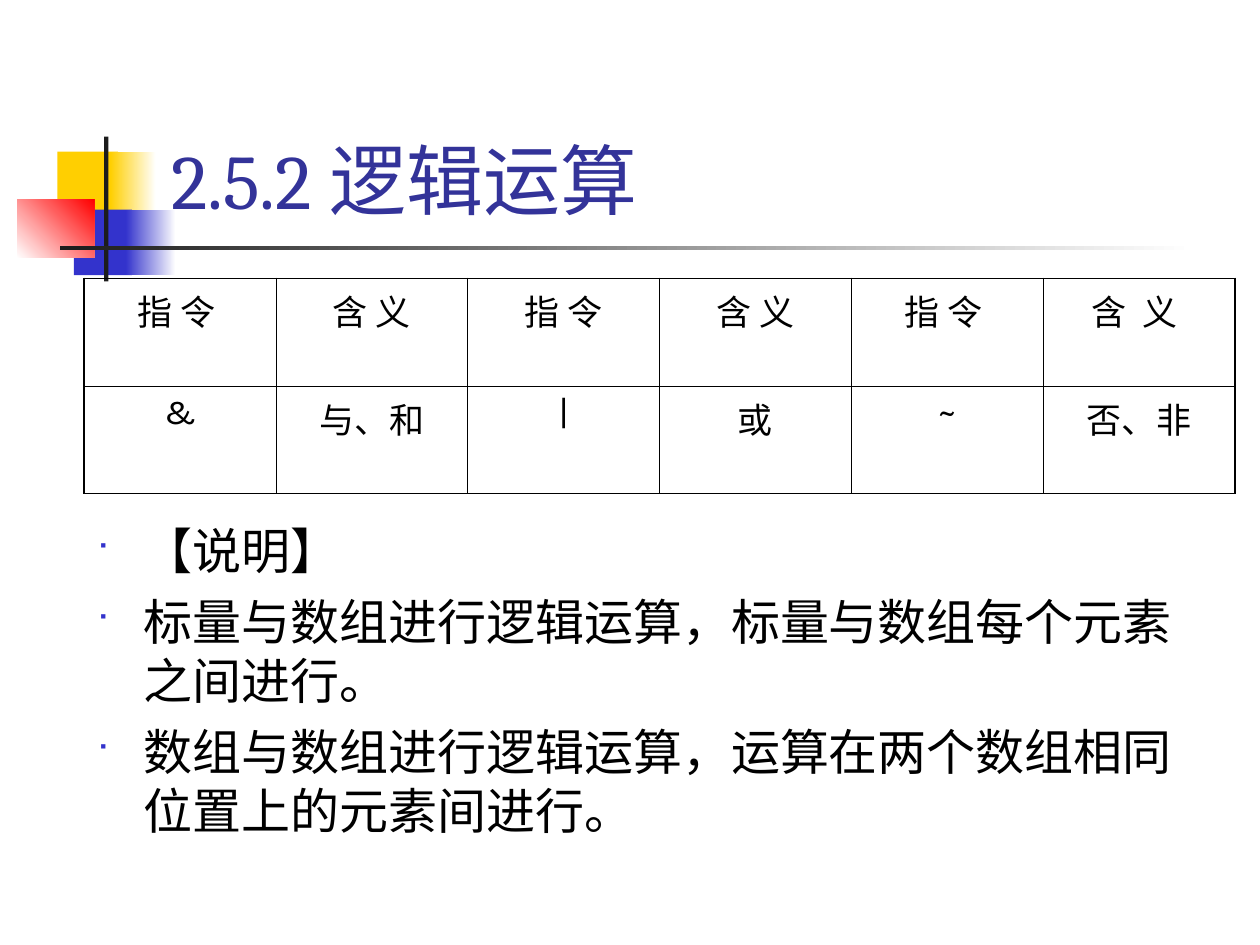
from dataclasses import dataclass

from lxml import etree
from pptx import Presentation
from pptx.dml.color import RGBColor
from pptx.enum.shapes import MSO_SHAPE
from pptx.enum.text import MSO_ANCHOR, PP_ALIGN
from pptx.oxml.ns import qn
from pptx.util import Pt


@dataclass(frozen=True)
class Theme:
    black: str = "000000"
    white: str = "FFFFFF"
    charcoal: str = "1C1C1C"
    yellow: str = "FFCF01"
    blue: str = "3333CC"
    red: str = "FF0000"
    title_blue: str = "333399"
    text_font: str = "Cambria"
    table_font: str = "Karla"
    title_size: int = 44
    body_size: int = 28
    table_size: int = 20
    outer_border: float = 1.08
    inner_border: float = 0.45


THEME = Theme()

HEADINGS = ["指 令 ", "含 义", "指 令", "含 义", "指 令 ", "含  义 "]
OPERATORS = ["&", "与、和", "|", "或", "~", "否、非"]
NOTES = [
    "【说明】",
    "标量与数组进行逻辑运算，标量与数组每个元素之间进行。",
    "数组与数组进行逻辑运算，运算在两个数组相同位置上的元素间进行。",
]


def write_text(para, text, *, size, color, font=THEME.text_font,
               align=PP_ALIGN.LEFT, space_before=0):
    para.alignment = align
    para.space_before = Pt(space_before)
    span = para.add_run()
    span.text = text
    span.font.name = font
    span.font.size = Pt(size)
    span.font.color.rgb = RGBColor.from_string(color)


def add_text_frame(page, box, anchor=MSO_ANCHOR.TOP):
    frame = page.shapes.add_textbox(*map(Pt, box)).text_frame
    frame.word_wrap = True
    frame.vertical_anchor = anchor
    return frame


def add_block(page, box, start, end=None, angle=0):
    """Add a borderless rectangle, solid or fading from start to end."""
    block = page.shapes.add_shape(MSO_SHAPE.RECTANGLE, *map(Pt, box))
    block.shadow.inherit = False
    block.line.fill.background()
    if end is None:
        block.fill.solid()
        block.fill.fore_color.rgb = RGBColor.from_string(start)
        return
    block.fill.gradient()
    block.fill.gradient_angle = angle
    for stop, color in zip(block.fill.gradient_stops, (start, end)):
        stop.color.rgb = RGBColor.from_string(color)


def add_ornament(page, box):
    left, top, width, height = box
    # Coloured squares, with a fading tail on the yellow and the blue one
    add_block(page, (left + 23, top + 8.6, 34.6, 37.4), THEME.yellow)
    add_block(page, (left + 53.3, top + 8.6, 26, 37.4), THEME.yellow, THEME.white)
    add_block(page, (left + 32.4, top + 41.8, 33.2, 37.4), THEME.blue)
    add_block(page, (left + 62, top + 41.8, 28.8, 37.4), THEME.blue, THEME.white)
    add_block(page, (left, top + 36, 44, 33.2), THEME.white, THEME.red, angle=45)
    # Crossing rules
    add_block(page, (left + 49.7, top, 2.5, height), THEME.charcoal)
    add_block(page, (left + 24.5, top + 62.6, width - 24.5, 2.5),
              THEME.charcoal, THEME.white)


def add_title(page, box):
    frame = add_text_frame(page, box, MSO_ANCHOR.BOTTOM)
    write_text(frame.paragraphs[0], "2.5.2 逻辑运算",
               size=THEME.title_size, color=THEME.title_blue)


def set_border(cell, side, width):
    line = etree.SubElement(cell._tc.get_or_add_tcPr(), qn(f"a:ln{side}"),
                            w=str(Pt(width)))
    fill = etree.SubElement(line, qn("a:solidFill"))
    etree.SubElement(fill, qn("a:srgbClr"), val=THEME.black)


def add_operator_table(page, box):
    rows = [HEADINGS, OPERATORS]
    last_row, last_column = len(rows) - 1, len(HEADINGS) - 1
    table = page.shapes.add_table(len(rows), len(HEADINGS), *map(Pt, box)).table
    table.first_row = table.horz_banding = False
    for column in table.columns:
        column.width = Pt(box[2] / len(HEADINGS))
    for row_index, texts in enumerate(rows):
        table.rows[row_index].height = Pt(box[3] / len(rows))
        for column_index, text in enumerate(texts):
            cell = table.cell(row_index, column_index)
            write_text(cell.text_frame.paragraphs[0], text, size=THEME.table_size,
                       color=THEME.black, font=THEME.table_font,
                       align=PP_ALIGN.CENTER)
            outer_sides = {"L": column_index == 0, "R": column_index == last_column,
                           "T": row_index == 0, "B": row_index == last_row}
            for side, is_outer in outer_sides.items():
                set_border(cell, side,
                           THEME.outer_border if is_outer else THEME.inner_border)
            cell.fill.background()


def add_bullet(para, indent):
    properties = para._p.get_or_add_pPr()
    properties.set("marL", str(Pt(indent)))
    properties.set("indent", str(-Pt(indent)))
    color = etree.SubElement(properties, qn("a:buClr"))
    etree.SubElement(color, qn("a:srgbClr"), val=THEME.blue)
    etree.SubElement(properties, qn("a:buSzPct"), val="60000")
    etree.SubElement(properties, qn("a:buFont"), typeface="Wingdings")
    etree.SubElement(properties, qn("a:buChar"), char="■")


def add_notes_list(page, box):
    frame = add_text_frame(page, box)
    for index, text in enumerate(NOTES):
        para = frame.add_paragraph() if index else frame.paragraphs[0]
        add_bullet(para, 27)
        write_text(para, text, size=THEME.body_size, color=THEME.black,
                   space_before=7 if index else 0)


def main():
    deck = Presentation()
    deck.slide_width, deck.slide_height = Pt(720), Pt(540)
    page = deck.slides.add_slide(deck.slide_layouts[6])
    add_ornament(page, (9.8, 78, 672.5, 82.8))
    add_title(page, (90.7, 16.6, 613.4, 115.2))
    add_notes_list(page, (48.2, 293.8, 648, 192.2))
    add_operator_table(page, (48.2, 159.1, 657.4, 123))
    deck.save("out.pptx")


if __name__ == "__main__":
    main()
